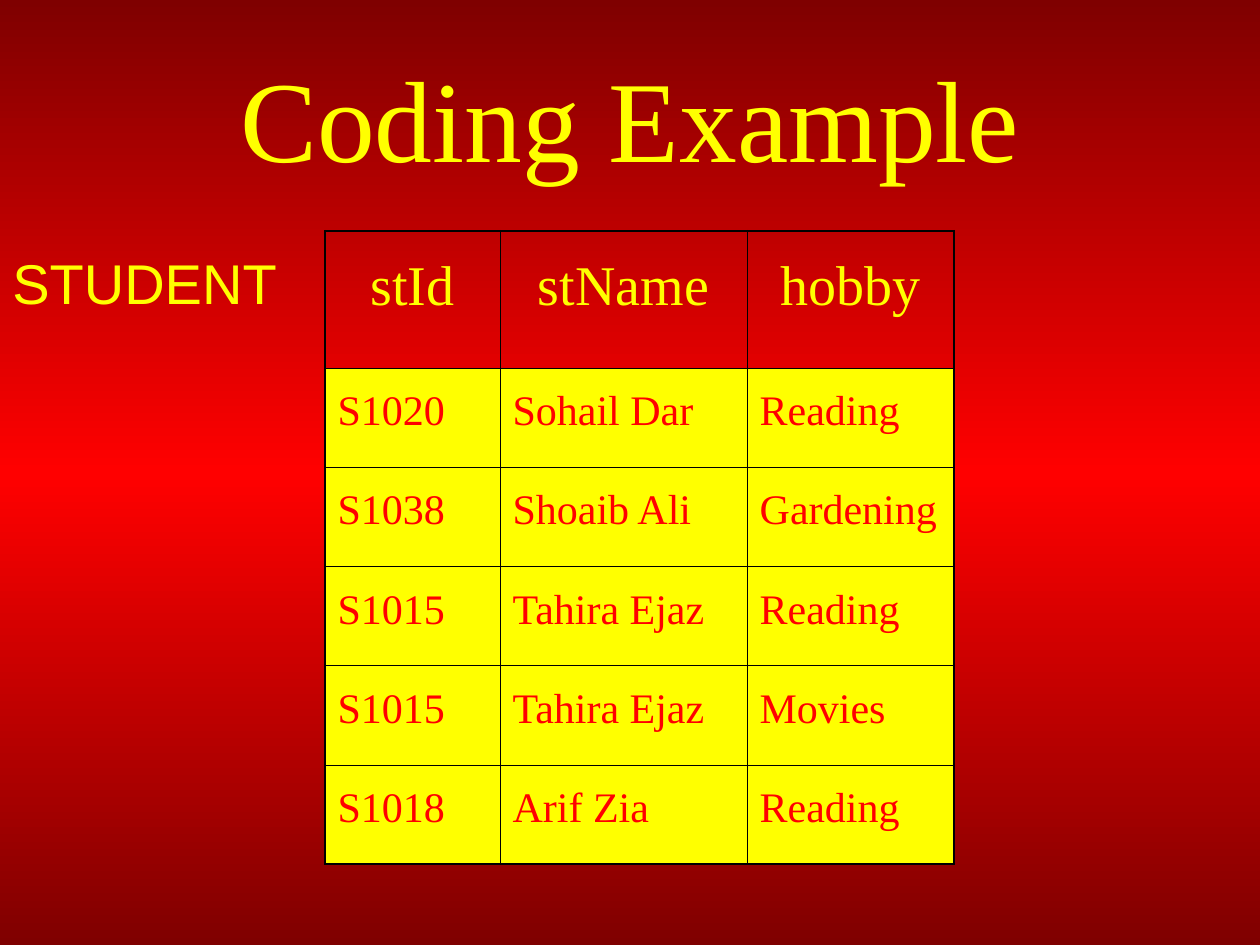
from copy import deepcopy
from lxml import etree
from pptx import Presentation
from pptx.dml.color import RGBColor
from pptx.enum.text import MSO_ANCHOR, PP_ALIGN
from pptx.oxml.ns import qn
from pptx.util import Cm, Pt

LEFT, MID = PP_ALIGN.LEFT, PP_ALIGN.CENTER
TOP, CENTER = MSO_ANCHOR.TOP, MSO_ANCHOR.MIDDLE

# Content
TITLE = "Coding Example"
LABEL = "STUDENT"
ROWS = [
    ("stId", "stName", "hobby"),
    ("S1020", "Sohail Dar", "Reading"),
    ("S1038", "Shoaib Ali", "Gardening"),
    ("S1015", "Tahira Ejaz", "Reading"),
    ("S1015", "Tahira Ejaz", "Movies"),
    ("S1018", "Arif Zia", "Reading"),
]

# Format, lengths in cm
YELLOW, RED, DARK, BLACK = "FFFF00", "FF0000", "7F0000", "000000"
SERIF, SANS = "Times New Roman", "Arial"
WIDTHS = [3.53, 4.98, 4.17]
HEIGHTS = [2.77] + [2.0] * (len(ROWS) - 1)
THICK, THIN = 1.08, 0.45
HEAD = {"size": Pt(32), "name": SERIF}
BODY = {"size": Pt(24), "name": SERIF}


def color(code):
    return RGBColor.from_string(code)


def write(frame, text, form, ink, align=LEFT, lead=1.0):
    para = frame.paragraphs[0]
    para.alignment, para.line_spacing = align, lead
    run = para.add_run()
    run.text = text
    for key, value in form.items():
        setattr(run.font, key, value)
    run.font.color.rgb = color(ink)


def add_text(slide, box, text, form, align, anchor, wrap):
    frame = slide.shapes.add_textbox(*map(Cm, box)).text_frame
    frame.word_wrap, frame.vertical_anchor = wrap, anchor
    write(frame, text, form, YELLOW, align)


def add_edge(cell, side, width):
    props = cell._tc.get_or_add_tcPr()
    line = etree.SubElement(props, qn("a:ln" + side), w=str(Pt(width)))
    fill = etree.SubElement(line, qn("a:solidFill"))
    etree.SubElement(fill, qn("a:srgbClr"), val=BLACK)


def paint(slide):
    fill = slide.background.fill
    fill.gradient()
    fill.gradient_angle = 270
    stop = slide._element.find(".//" + qn("a:gs"))
    stop.addnext(deepcopy(stop))
    for stop, place, code in zip(fill.gradient_stops, (0, 0.5, 1), (DARK, RED, DARK)):
        stop.position, stop.color.rgb = place, color(code)


def add_grid(slide):
    box = (6.55, 4.65, sum(WIDTHS), sum(HEIGHTS))
    table = slide.shapes.add_table(len(ROWS), len(WIDTHS), *map(Cm, box)).table
    table.first_row = table.horz_banding = False
    for col, width in zip(table.columns, WIDTHS):
        col.width = Cm(width)
    for row, height in zip(table.rows, HEIGHTS):
        row.height = Cm(height)
    for r, row in enumerate(ROWS):
        for c, text in enumerate(row):
            cell = table.cell(r, c)
            # Thick lines on the outer frame, thin ones inside
            outer = {"L": c == 0, "R": c == len(row) - 1,
                     "T": r == 0, "B": r == len(ROWS) - 1}
            for side, edge in outer.items():
                add_edge(cell, side, THICK if edge else THIN)
            if r == 0:
                cell.fill.background()
                write(cell.text_frame, text, HEAD, YELLOW, MID, 1.3)
            else:
                cell.fill.solid()
                cell.fill.fore_color.rgb = color(YELLOW)
                write(cell.text_frame, text, BODY, RED, LEFT, 1.3)


def main():
    deck = Presentation()
    deck.slide_width, deck.slide_height = Cm(25.4), Cm(19.05)
    slide = deck.slides.add_slide(deck.slide_layouts[6])
    paint(slide)
    # Title, table and its name
    add_text(slide, (1.27, 0.76, 22.86, 3.18), TITLE,
             {"size": Pt(66), "name": SERIF}, MID, CENTER, True)
    add_grid(slide)
    add_text(slide, (0, 4.88, 5.84, 1.63), LABEL,
             {"size": Pt(32), "name": SANS}, LEFT, TOP, False)
    deck.save("out.pptx")


if __name__ == "__main__":
    main()
